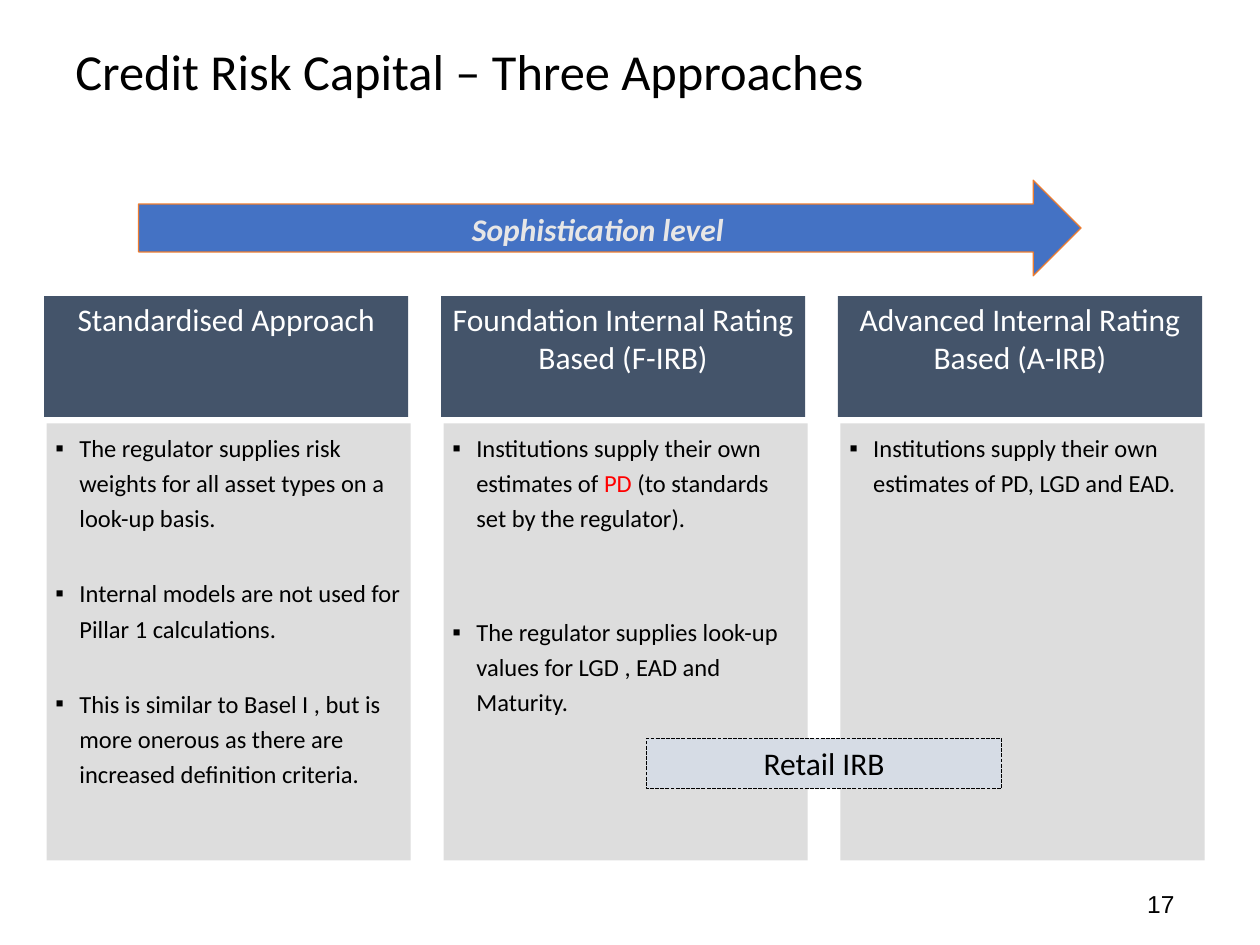
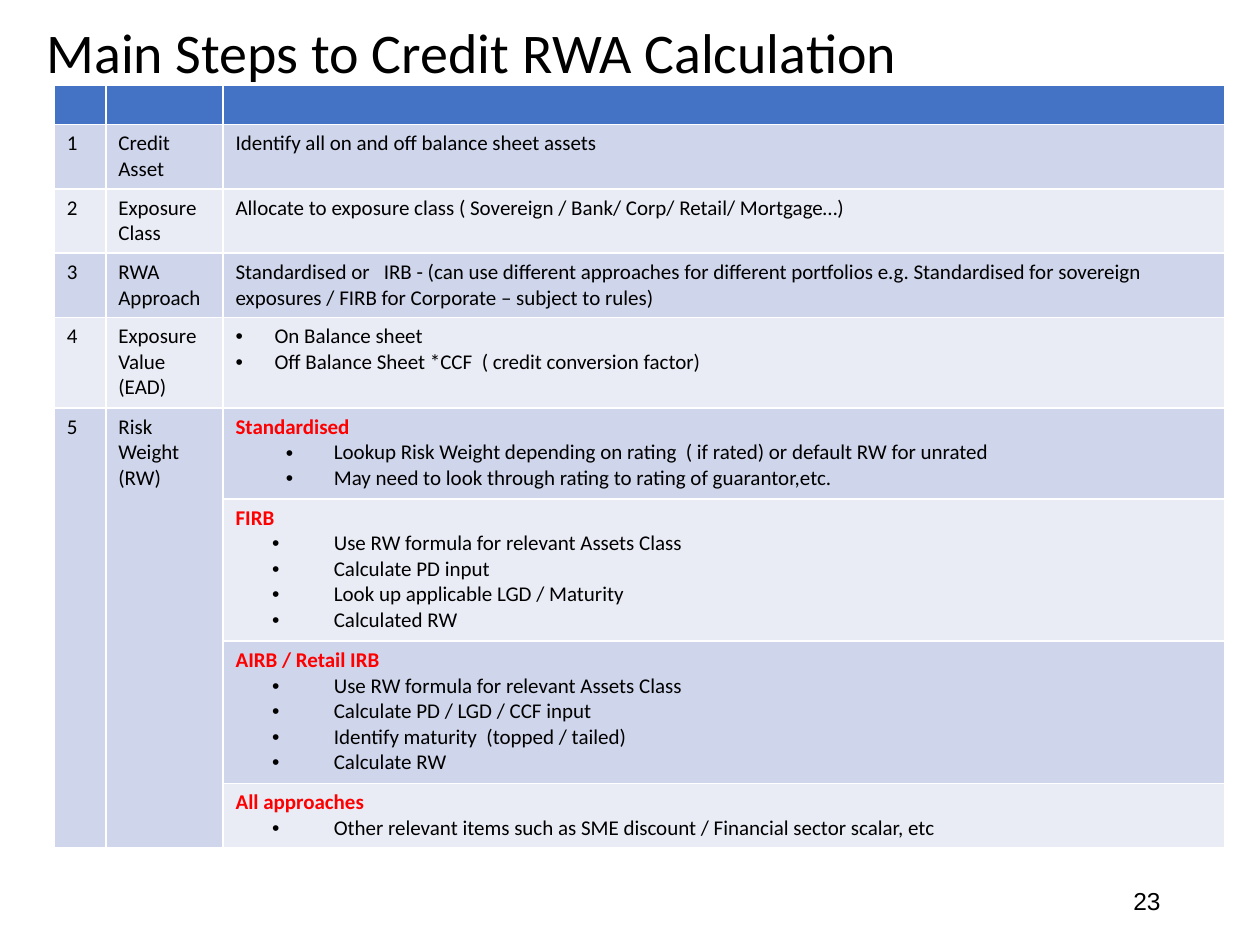
"""Build two slides on credit risk capital approaches and RWA calculation steps."""
from dataclasses import dataclass
from typing import NamedTuple

from lxml import etree
from pptx import Presentation
from pptx.dml.color import RGBColor
from pptx.enum.dml import MSO_LINE
from pptx.enum.shapes import MSO_SHAPE
from pptx.enum.text import MSO_ANCHOR, PP_ALIGN
from pptx.oxml.ns import qn
from pptx.util import Inches, Pt

RECTANGLE, RIGHT_ARROW = MSO_SHAPE.RECTANGLE, MSO_SHAPE.RIGHT_ARROW
LEFT, CENTER, RIGHT = PP_ALIGN.LEFT, PP_ALIGN.CENTER, PP_ALIGN.RIGHT
TOP, MIDDLE = MSO_ANCHOR.TOP, MSO_ANCHOR.MIDDLE
SHORT_DASH = MSO_LINE.SQUARE_DOT

COLORS = {
    "black": "000000", "white": "FFFFFF", "red": "FF0000",
    "heading": "44546A", "body": "DDDDDD", "blue": "4472C4",
    "orange": "ED7D31", "pale_grey": "E7E6E6", "pale_blue": "D6DCE5",
    "band_dark": "CFD5EA", "band_light": "E9EBF5",
}
BODY_FONT, NUMBER_FONT = "Calibri", "Arial"
COLUMN_STEP = 3.15
COLUMN_WIDTH = 2.89


class Box(NamedTuple):
    left: float
    top: float
    width: float
    height: float


class Span(NamedTuple):
    text: str
    color: str | None = None
    bold: bool | None = None


class Bullet(NamedTuple):
    mark: str
    indent: float
    hang: float


@dataclass(frozen=True)
class Para:
    spans: tuple[Span, ...]
    bullet: Bullet | None = None
    before: float = 0


@dataclass(frozen=True)
class Panel:
    box: Box
    fill: str
    kind: MSO_SHAPE = RECTANGLE
    line: str | None = None
    dash: MSO_LINE | None = None


@dataclass(frozen=True)
class Approach:
    heading: str
    points: tuple[Para, ...]


@dataclass(frozen=True)
class Step:
    number: str
    name: tuple[Para, ...]
    detail: tuple[Para, ...]


SQUARE = Bullet("▪", 0.19, 0.19)
DOT = Bullet("•", 0.31, 0.31)
NEAR_DOT = Bullet("•", 0.78, 0.38)
FAR_DOT = Bullet("•", 0.78, 0.49)


def plain(*lines: str, bullet: Bullet | None = None) -> tuple[Para, ...]:
    """Return one paragraph for each line."""
    return tuple(Para((Span(line),), bullet) for line in lines)


def method(name: str, *lines: str, bullet: Bullet = FAR_DOT) -> tuple[Para, ...]:
    """Return a red method name followed by its bulleted lines."""
    return (Para((Span(name, "red", True),)), *plain(*lines, bullet=bullet))


def point(*spans: Span, before: float = 0.7) -> Para:
    """Return a square-bulleted point of an approach."""
    return Para(spans, SQUARE, before)


APPROACHES = (
    Approach("Standardised Approach", (
        point(Span("The regulator supplies risk weights for all asset types on a look-up basis.")),
        point(Span("Internal models are not used for Pillar 1 calculations."), before=22),
        point(Span("This is similar to Basel I , but is more onerous as there are "
                   "increased definition criteria."), before=22),
    )),
    Approach("Foundation Internal Rating Based (F-IRB)", (
        point(Span("Institutions supply their own estimates of "), Span("PD", "red"),
              Span(" (to standards set by the regulator).")),
        point(Span("The regulator supplies look-up values for LGD , EAD and Maturity."), before=44),
    )),
    Approach("Advanced Internal Rating Based (A-IRB)", (
        point(Span("Institutions supply their own estimates of PD, LGD and EAD.")),
    )),
)

STEPS = (
    Step("1", plain("Credit Asset"), plain("Identify all on and off balance sheet assets")),
    Step("2", plain("Exposure Class"),
         plain("Allocate to exposure class ( Sovereign / Bank/ Corp/ Retail/ Mortgage…)")),
    Step("3", plain("RWA Approach"),
         plain("Standardised or   IRB - (can use different approaches for different portfolios "
               "e.g. Standardised for sovereign exposures / FIRB for Corporate – subject to rules)")),
    Step("4", plain("Exposure Value", "(EAD)"),
         plain("On Balance sheet", "Off Balance Sheet *CCF  ( credit conversion factor)", bullet=DOT)),
    Step("5", plain("Risk Weight", "(RW)"),
         method("Standardised",
                "Lookup Risk Weight depending on rating  ( if rated) or default RW for unrated",
                "May need to look through rating to rating of guarantor,etc.", bullet=NEAR_DOT)),
    Step("", (), method("FIRB", "Use RW formula for relevant Assets Class", "Calculate PD input",
                        "Look up applicable LGD / Maturity", "Calculated RW")),
    Step("", (), method("AIRB / Retail IRB", "Use RW formula for relevant Assets Class",
                        "Calculate PD / LGD / CCF input", "Identify maturity  (topped / tailed)",
                        "Calculate RW")),
    Step("", (), method("All approaches",
                        "Other relevant items such as SME discount / Financial sector scalar, etc")),
)
STEP_COLUMNS = (0.41, 0.93, 7.95)
STEP_ROWS = (0.31, 0.51, 0.51, 0.51, 0.72, 0.72, 1.13, 1.13, 0.51)
RISK_WEIGHT_ROW = 5


def rgb(name: str) -> RGBColor:
    """Return the named colour."""
    return RGBColor.from_string(COLORS[name])


def place(box: Box) -> tuple:
    """Return the box as lengths."""
    return tuple(Inches(length) for length in box)


def add_bullet(paragraph, bullet: Bullet) -> None:
    """Give a paragraph a bullet with a hanging indent."""
    properties = paragraph._p.get_or_add_pPr()
    properties.set("marL", str(Inches(bullet.indent)))
    properties.set("indent", str(-Inches(bullet.hang)))
    etree.SubElement(properties, qn("a:buFont")).set("typeface", "Arial")
    etree.SubElement(properties, qn("a:buChar")).set("char", bullet.mark)


def write_text(frame, content: tuple[Para, ...], *, size: float, color: str = "black",
               font: str = BODY_FONT, bold: bool = False, italic: bool = False,
               align: PP_ALIGN = LEFT, spacing: float = 1.0, after: float = 0) -> None:
    """Fill a text frame with formatted paragraphs."""
    frame.word_wrap = True
    for index, para in enumerate(content):
        paragraph = frame.add_paragraph() if index else frame.paragraphs[0]
        paragraph.alignment = align
        paragraph.line_spacing = spacing
        paragraph.space_before, paragraph.space_after = Pt(para.before), Pt(after)
        if para.bullet:
            add_bullet(paragraph, para.bullet)
        for span in para.spans:
            run = paragraph.add_run()
            run.text = span.text
            run.font.name, run.font.size = font, Pt(size)
            run.font.bold = bold if span.bold is None else span.bold
            run.font.italic = italic
            run.font.color.rgb = rgb(span.color or color)


def add_label(slide, box: Box, text: str, **text_format) -> None:
    """Add a vertically centred line of text."""
    frame = slide.shapes.add_textbox(*place(box)).text_frame
    frame.vertical_anchor = MIDDLE
    write_text(frame, plain(text), **text_format)


def add_title_and_number(slide, title: str, title_box: Box, size: float,
                         number: str, number_box: Box) -> None:
    """Add the title and the page number."""
    add_label(slide, title_box, title, size=size, spacing=0.9)
    add_label(slide, number_box, number, size=14, font=NUMBER_FONT, align=RIGHT)


def add_panel(slide, panel: Panel, content: tuple[Para, ...],
              insets: tuple[float, float] = (0.07, 0.03), **text_format) -> None:
    """Add a filled shape with its text."""
    shape = slide.shapes.add_shape(panel.kind, *place(panel.box))
    shape.shadow.inherit = False
    shape.fill.solid()
    shape.fill.fore_color.rgb = rgb(panel.fill)
    if panel.line:
        shape.line.color.rgb = rgb(panel.line)
        shape.line.width = Pt(0.75)
        if panel.dash:
            shape.line.dash_style = panel.dash
    else:
        shape.line.fill.background()
    frame = shape.text_frame
    frame.vertical_anchor = TOP
    frame.margin_left = frame.margin_right = Inches(insets[0])
    frame.margin_top = frame.margin_bottom = Inches(insets[1])
    write_text(frame, content, **text_format)


def style_cell(cell, fill: str) -> None:
    """Fill a cell and draw its white borders."""
    properties = cell._tc.get_or_add_tcPr()
    for side in ("a:lnL", "a:lnR", "a:lnT", "a:lnB"):
        border = etree.SubElement(properties, qn(side))
        border.set("w", str(Pt(1)))
        paint = etree.SubElement(border, qn("a:solidFill"))
        etree.SubElement(paint, qn("a:srgbClr")).set("val", COLORS["white"])
    cell.fill.solid()
    cell.fill.fore_color.rgb = rgb(fill)


def build_approaches(slide) -> None:
    """Draw the three approaches by level of sophistication."""
    add_title_and_number(slide, "Credit Risk Capital – Three Approaches", Box(0.5, 0.3, 9, 0.57), 28.8,
                         "17", Box(7.75, 6.97, 1.67, 0.4))
    for index, approach in enumerate(APPROACHES):
        left = 0.35 + index * COLUMN_STEP
        add_panel(slide, Panel(Box(left + 0.02, 3.36, COLUMN_WIDTH, 3.47), "body"),
                  approach.points, size=14, spacing=1.2, after=0.7)
        add_panel(slide, Panel(Box(left, 2.35, COLUMN_WIDTH, 0.96), "heading"),
                  plain(approach.heading), size=18, color="white", align=CENTER)
    add_panel(slide, Panel(Box(1.1, 1.43, 7.48, 0.76), "blue", RIGHT_ARROW, "orange"),
              plain("Sophistication level"), (0.1, 0.05), size=18, color="pale_grey",
              bold=True, italic=True, align=CENTER)
    add_panel(slide, Panel(Box(5.13, 5.86, 2.82, 0.4), "pale_blue", line="black", dash=SHORT_DASH),
              plain("Retail IRB"), (0.1, 0.05), size=18, align=CENTER)


def build_steps(slide) -> None:
    """Draw the table of calculation steps."""
    add_title_and_number(slide, "Main Steps to Credit RWA Calculation", Box(0.27, 0.13, 9.37, 0.62), 32,
                         "23", Box(7.06, 6.95, 2.25, 0.4))
    box = Box(0.43, 0.68, sum(STEP_COLUMNS), sum(STEP_ROWS))
    table = slide.shapes.add_table(len(STEP_ROWS), len(STEP_COLUMNS), *place(box)).table
    table.first_row = table.horz_banding = False
    for column, width in zip(table.columns, STEP_COLUMNS):
        column.width = Inches(width)
    for row, height in zip(table.rows, STEP_ROWS):
        row.height = Inches(height)
    blank = Step("", (), ())
    for row_index, step in enumerate((blank, *STEPS)):
        fill = ("band_dark" if row_index % 2 else "band_light") if row_index else "blue"
        number = plain(step.number) if step.number else ()
        for column_index, content in enumerate((number, step.name, step.detail)):
            cell = table.cell(row_index, column_index)
            style_cell(cell, fill)
            if content:
                write_text(cell.text_frame, content, size=12)
            else:
                ending = etree.SubElement(cell.text_frame.paragraphs[0]._p, qn("a:endParaRPr"))
                ending.set("sz", "1200")
    for column_index in range(2):
        table.cell(RISK_WEIGHT_ROW, column_index).merge(table.cell(len(STEPS), column_index))


def main() -> None:
    """Build and save the slides."""
    deck = Presentation()
    deck.slide_width, deck.slide_height = Inches(10), Inches(7.5)
    for build in (build_approaches, build_steps):
        build(deck.slides.add_slide(deck.slide_layouts[6]))
    deck.save("out.pptx")


if __name__ == "__main__":
    main()
